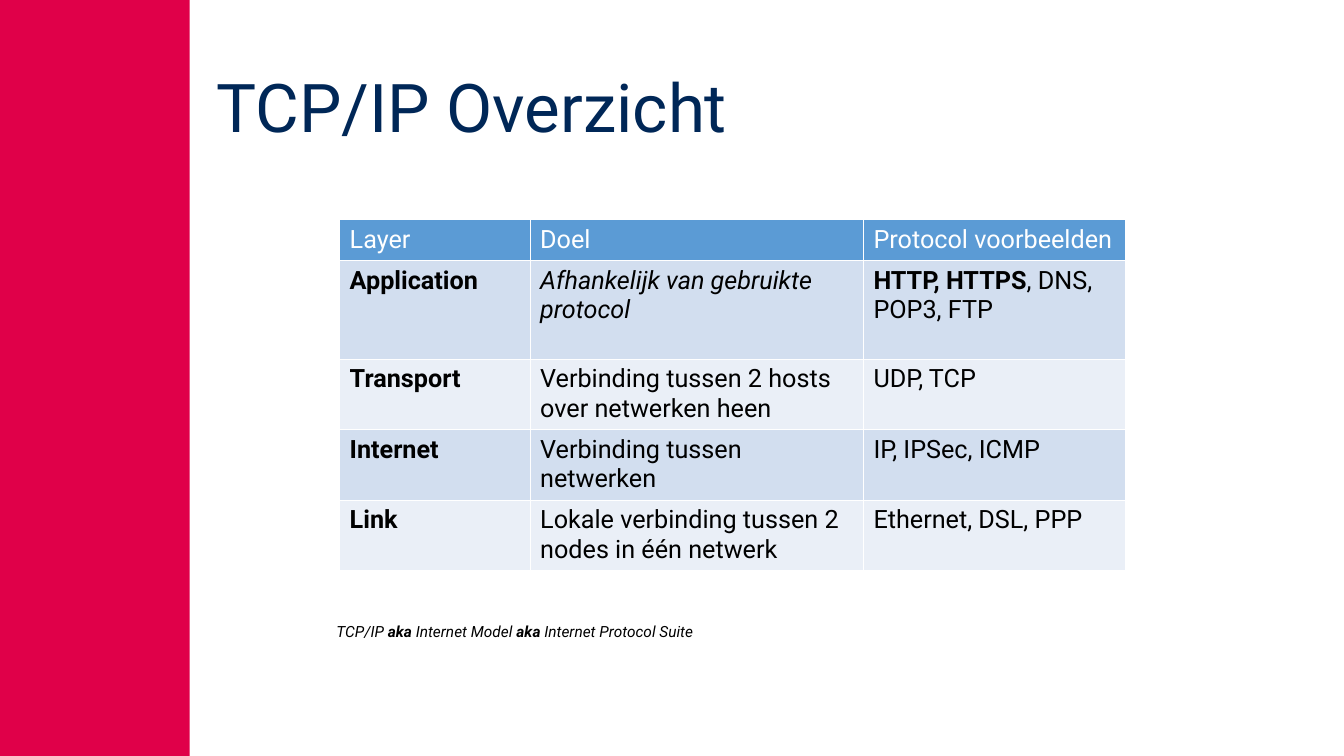
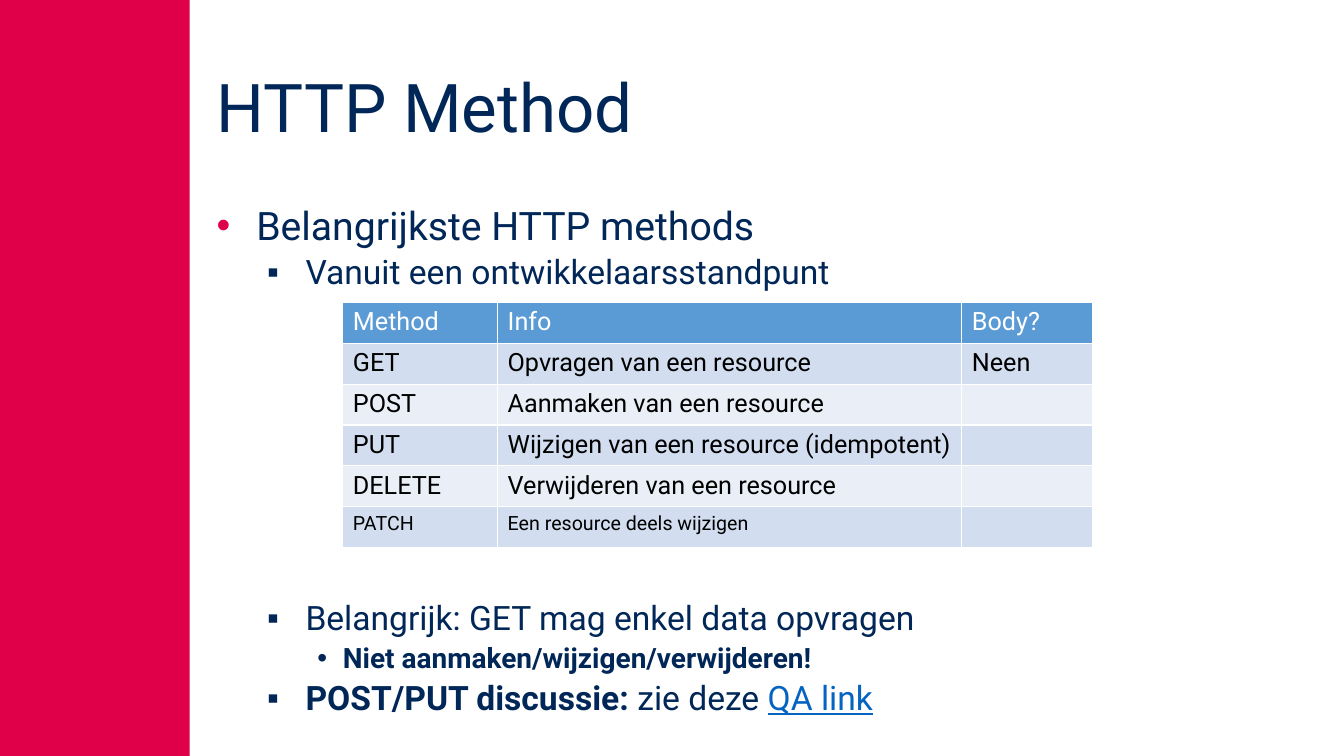
from lxml import etree
from pptx import Presentation
from pptx.dml.color import RGBColor
from pptx.enum import shapes, text
from pptx.oxml import ns
from pptx.util import Cm, Pt

FONT = "Roboto"
RED = RGBColor(0xE0, 0x00, 0x49)
NAVY = RGBColor(0x00, 0x27, 0x57)
BLUE = RGBColor(0x5B, 0x9B, 0xD5)
LIGHT_BLUE = RGBColor(0xD2, 0xDE, 0xEF)
PALE_BLUE = RGBColor(0xEA, 0xEF, 0xF7)
LINK_BLUE = RGBColor(0x05, 0x63, 0xC1)
BLACK = RGBColor(0, 0, 0)
WHITE = RGBColor(0xFF, 0xFF, 0xFF)

SLIDE_WIDTH, SLIDE_HEIGHT = Cm(33.87), Cm(19.05)
CONTENT_LEFT, CONTENT_WIDTH = Cm(5.21), Cm(27.64)
HEADER_HEIGHT = 1.03

BULLETS = [
    {"mark": "•", "mark_color": RED, "left": 1.0, "hang": 1.0, "size": 28, "before": 10},
    {"mark": "▪", "mark_color": NAVY, "left": 2.24, "hang": 0.97, "size": 24, "before": 5},
    {"mark": "•", "mark_color": NAVY, "left": 3.18, "hang": 0.64, "size": 20, "before": 5},
]


def add_element(parent, tag, **attributes):
    return etree.SubElement(parent, ns.qn(tag), attributes)


def write(paragraph, content, size, color):
    """Content is a string or a list of (string, style) pairs; styles are letters of b, i and u."""
    font = paragraph.font
    font.name, font.size, font.color.rgb = FONT, Pt(size), color
    pieces = [(content, "")] if isinstance(content, str) else content
    for wording, style in pieces:
        run = paragraph.add_run()
        run.text = wording
        run.font.bold = "b" in style
        run.font.italic = "i" in style
        if "u" in style:
            run.font.underline = True
            run.font.color.rgb = LINK_BLUE


def add_text_frame(slide, left, top, width, height, wrap=True):
    frame = slide.shapes.add_textbox(left, top, width, height).text_frame
    frame.word_wrap = wrap
    return frame


def add_titled_slide(deck, title):
    slide = deck.slides.add_slide(deck.slide_layouts[6])
    band = slide.shapes.add_shape(
        shapes.MSO_SHAPE.RECTANGLE, 0, 0, Cm(4.78), SLIDE_HEIGHT)
    band.shadow.inherit = False
    band.fill.solid()
    band.fill.fore_color.rgb = RED
    band.line.fill.background()

    frame = add_text_frame(slide, CONTENT_LEFT, Cm(1.02), CONTENT_WIDTH, Cm(3.56))
    frame.vertical_anchor = text.MSO_ANCHOR.MIDDLE
    heading = frame.paragraphs[0]
    heading.line_spacing = 0.9
    write(heading, title, 48, NAVY)
    return slide


def set_bullet(paragraph, bullet):
    properties = paragraph._p.get_or_add_pPr()
    properties.set("marL", str(Cm(bullet["left"])))
    properties.set("indent", str(-Cm(bullet["hang"])))
    color = add_element(properties, "a:buClr")
    add_element(color, "a:srgbClr", val=str(bullet["mark_color"]))
    add_element(properties, "a:buFont", typeface="Arial")
    add_element(properties, "a:buChar", char=bullet["mark"])


def add_bullets(slide, top, height, items):
    frame = add_text_frame(slide, CONTENT_LEFT, top, CONTENT_WIDTH, height)
    for index, (level, content) in enumerate(items):
        bullet = BULLETS[level]
        paragraph = frame.add_paragraph() if index else frame.paragraphs[0]
        paragraph.level = level
        paragraph.line_spacing = 0.9
        paragraph.space_before = Pt(bullet["before"] if index else 0)
        set_bullet(paragraph, bullet)
        write(paragraph, content, bullet["size"], NAVY)


def style_cell(cell, fill):
    properties = cell._tc.get_or_add_tcPr()
    for side in ("a:lnL", "a:lnR", "a:lnT", "a:lnB"):
        border = add_element(properties, side, w=str(Pt(1)))
        add_element(add_element(border, "a:solidFill"), "a:srgbClr", val=str(WHITE))
    cell.fill.solid()
    cell.fill.fore_color.rgb = fill


def add_banded_table(slide, left, top, widths, heights, rows, small_rows=()):
    table = slide.shapes.add_table(
        len(rows), len(widths), Cm(left), Cm(top),
        Cm(sum(widths)), Cm(sum(heights))).table
    table.first_row = table.horz_banding = False
    for column, width in zip(table.columns, widths):
        column.width = Cm(width)
    for row_index, (row, height, contents) in enumerate(zip(table.rows, heights, rows)):
        row.height = Cm(height)
        is_header = row_index == 0
        fill = BLUE if is_header else (PALE_BLUE, LIGHT_BLUE)[row_index % 2]
        size = 14 if row_index in small_rows else 18
        for cell, content in zip(row.cells, contents):
            style_cell(cell, fill)
            if content:
                write(cell.text_frame.paragraphs[0], content, size,
                      WHITE if is_header else BLACK)


def build_overview(deck):
    slide = add_titled_slide(deck, "TCP/IP Overzicht")
    layers = [
        ("Layer", "Doel", "Protocol voorbeelden"),
        ([("Application", "b")],
         [("Afhankelijk van gebruikte protocol", "i")],
         [("HTTP, HTTPS", "b"), (", DNS, POP3, FTP", "")]),
        ([("Transport", "b")], "Verbinding tussen 2 hosts over netwerken heen", "UDP, TCP"),
        ([("Internet", "b")], "Verbinding tussen netwerken", "IP, IPSec, ICMP"),
        ([("Link", "b")], "Lokale verbinding tussen 2 nodes in één netwerk",
         "Ethernet, DSL, PPP"),
    ]
    add_banded_table(slide, 8.56, 5.54, [4.8, 8.4, 6.6],
                     [HEADER_HEIGHT, 2.48] + [1.75] * 3, layers)
    aliases = add_text_frame(slide, Cm(8.23), Cm(15.54), Cm(10.2), Cm(0.74), wrap=False)
    write(aliases.paragraphs[0],
          [("TCP/IP ", "i"), ("aka", "bi"), (" Internet Model ", "i"),
           ("aka", "bi"), (" Internet Protocol Suite", "i")], 11, BLACK)


def build_methods(deck):
    slide = add_titled_slide(deck, "HTTP Method")
    add_bullets(slide, Cm(5.08), Cm(2.5), [
        (0, "Belangrijkste HTTP methods"),
        (1, "Vanuit een ontwikkelaarsstandpunt"),
    ])
    methods = [
        ("Method", "Info", "Body?"),
        ("GET", "Opvragen van een resource", "Neen"),
        ("POST", "Aanmaken van een resource", ""),
        ("PUT", "Wijzigen van een resource (idempotent)", ""),
        ("DELETE", "Verwijderen van een resource", ""),
        ("PATCH", "Een resource deels wijzigen", ""),
    ]
    add_banded_table(slide, 8.64, 7.62, [3.9, 11.7, 3.3],
                     [HEADER_HEIGHT] * len(methods), methods, small_rows=(5,))
    add_bullets(slide, Cm(15.03), Cm(3.4), [
        (1, "Belangrijk: GET mag enkel data opvragen"),
        (2, [("Niet aanmaken/wijzigen/verwijderen!", "b")]),
        (1, [("POST/PUT discussie: ", "b"), ("zie deze ", ""), ("QA link", "u")]),
    ])


def main():
    deck = Presentation()
    deck.slide_width, deck.slide_height = SLIDE_WIDTH, SLIDE_HEIGHT
    build_overview(deck)
    build_methods(deck)
    deck.save("out.pptx")


if __name__ == "__main__":
    main()
